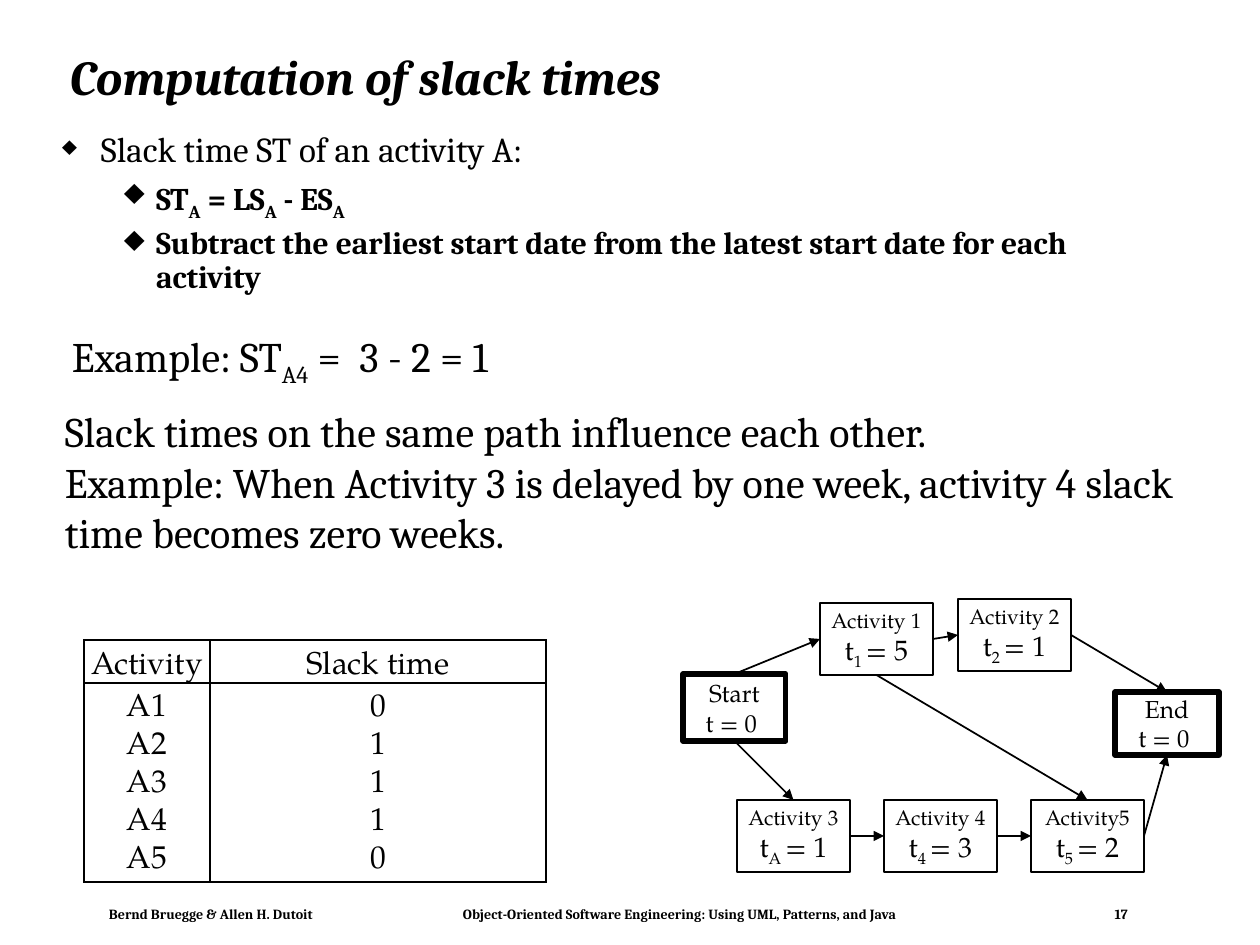
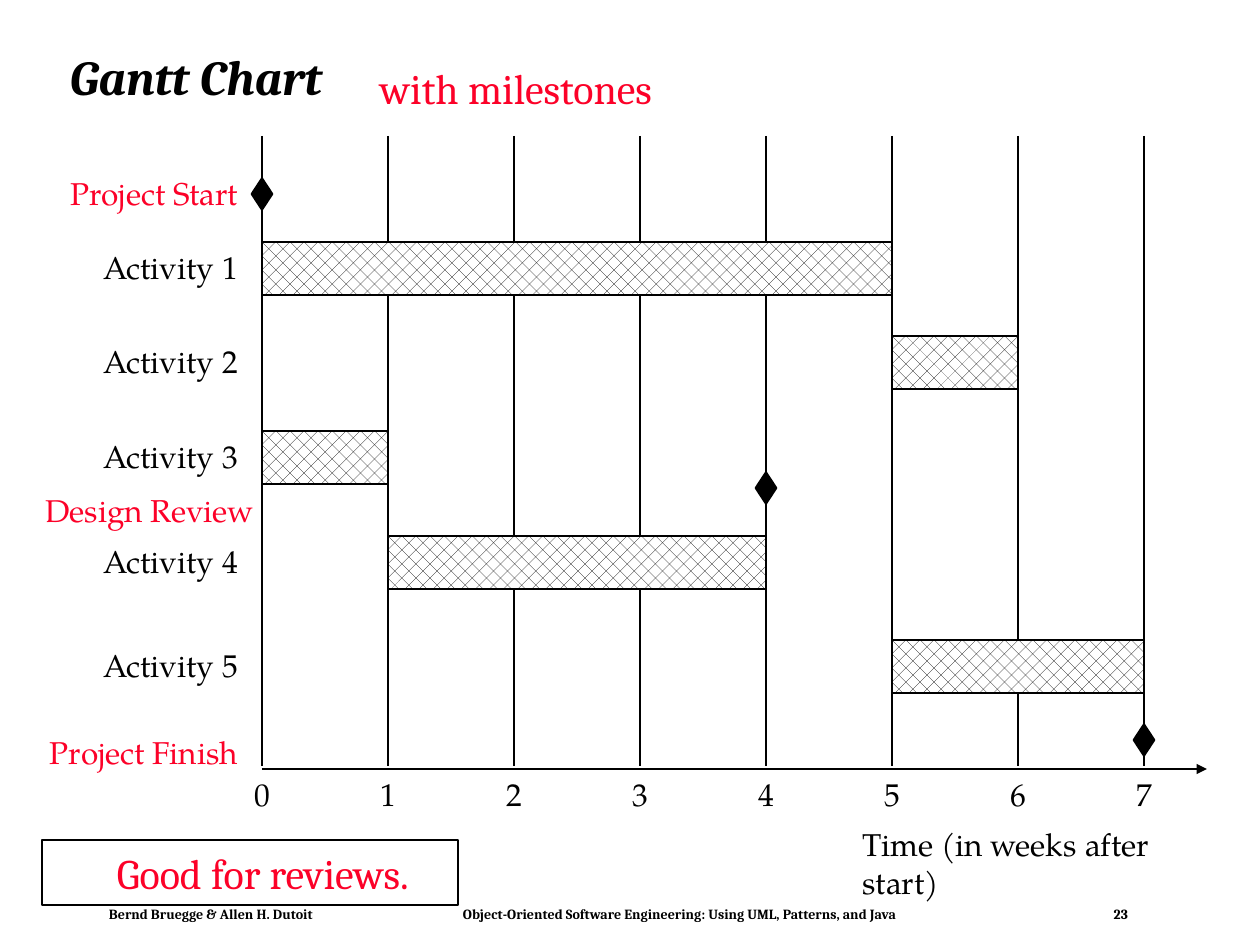
from lxml.etree import SubElement
from pptx import Presentation
from pptx.dml.color import RGBColor
from pptx.enum.dml import MSO_PATTERN
from pptx.enum.shapes import MSO_CONNECTOR, MSO_SHAPE
from pptx.enum.text import MSO_ANCHOR, MSO_AUTO_SIZE, PP_ALIGN
from pptx.oxml.ns import qn
from pptx.util import Emu, Pt

BLACK, WHITE, RED = "000000", "FFFFFF", "FC0128"
SERIF, PALATINO = "Cambria", "TeX Gyre Pagella"
LEFT, CENTER, RIGHT = PP_ALIGN.LEFT, PP_ALIGN.CENTER, PP_ALIGN.RIGHT
TOP, LEFT_SIDE, BOTTOM, RIGHT_SIDE = range(4)

AUTHORS = "Bernd Bruegge & Allen H. Dutoit"
BOOK = "Object-Oriented Software Engineering: Using UML, Patterns, and Java"

WEEK_ZERO, WEEK_WIDTH, WEEKS = 262, 126, 7
GRID_TOP, GRID_BOTTOM, AXIS_Y = 136, 766, 769
LINE_HEIGHT = 38


def px(length):
    return Emu(round(length * 914400 / 126))


def color(value):
    return RGBColor.from_string(value)


def format_font(font, size, name, ink, bold=False, italic=False):
    font.size, font.name = Pt(size), name
    font.bold, font.italic = bold, italic
    font.color.rgb = color(ink)


def write(para, text, size, name=SERIF, ink=BLACK, bold=False, italic=False, align=LEFT):
    """Fill a paragraph; text between two ~ marks is a subscript."""
    para.alignment = align
    for index, part in enumerate(text.split("~")):
        span = para.add_run()
        span.text = part
        format_font(span.font, size, name, ink, bold, italic)
        if index % 2:
            span.font._element.set("baseline", "-25000")


def write_lines(frame, lines, sizes, anchor=MSO_ANCHOR.TOP, wrap=True, inset=0, **style):
    """Write one paragraph per line; the last size serves all further lines."""
    frame.auto_size = MSO_AUTO_SIZE.NONE
    frame.word_wrap = wrap
    frame.vertical_anchor = anchor
    frame.margin_left = px(inset)
    frame.margin_right = frame.margin_top = frame.margin_bottom = 0
    for index, line in enumerate(lines):
        para = frame.add_paragraph() if index else frame.paragraphs[0]
        write(para, line, sizes[min(index, len(sizes) - 1)], **style)


def add_text(page, place, text, size, **style):
    box = page.shapes.add_textbox(*map(px, place))
    write_lines(box.text_frame, text.split("\n"), [size], **style)
    return box


def add_label(page, x, middle, text, width, align=CENTER, **style):
    """Set one unwrapped line, centred on a height; x is its aligned edge or centre."""
    left = {LEFT: x, CENTER: x - width / 2, RIGHT: x - width}[align]
    add_text(page, (left, middle - 25, width, 50), text, wrap=False,
             anchor=MSO_ANCHOR.MIDDLE, align=align, **style)


def add_box(page, place, kind=MSO_SHAPE.RECTANGLE, fill=WHITE, weight=1):
    box = page.shapes.add_shape(kind, *map(px, place))
    box.shadow.inherit = False
    if fill:
        box.fill.solid()
        box.fill.fore_color.rgb = color(fill)
    else:
        box.fill.background()
    box.line.color.rgb = color(BLACK)
    box.line.width = Pt(weight)
    return box


def add_line(page, x1, y1, x2, y2, arrow=False):
    line = page.shapes.add_connector(MSO_CONNECTOR.STRAIGHT, *map(px, (x1, y1, x2, y2)))
    line.line.color.rgb = color(BLACK)
    line.line.width = Pt(1)
    properties = line.element.spPr
    if arrow:
        SubElement(properties.find(qn("a:ln")), qn("a:tailEnd"), type="triangle")
    SubElement(properties, qn("a:effectLst"))
    return line


def add_arrow(page, source, source_side, target, target_side):
    arrow = add_line(page, 0, 0, 0, 0, arrow=True)
    arrow.begin_connect(source, source_side)
    arrow.end_connect(target, target_side)


def add_bullet(para, margin, hang, percent):
    para.line_spacing = 0.9
    properties = para._p.get_or_add_pPr()
    properties.set("marL", str(px(margin)))
    properties.set("indent", str(-px(hang)))
    bullet_color = SubElement(properties, qn("a:buClr"))
    SubElement(bullet_color, qn("a:srgbClr"), val=BLACK)
    SubElement(properties, qn("a:buSzPct"), val=str(percent * 1000))
    SubElement(properties, qn("a:buChar"), char="♦")


def add_page(deck, title, number):
    page = deck.slides.add_slide(deck.slide_layouts[5])
    heading = page.shapes.title
    heading.left, heading.top, heading.width, heading.height = map(px, (70, 31, 1098, 97))
    write_lines(heading.text_frame, [title], [28], anchor=MSO_ANCHOR.MIDDLE,
                bold=True, italic=True)
    heading.text_frame.paragraphs[0].line_spacing = 0.9
    for x, text, width, align in ((109, AUTHORS, 250, LEFT), (680, BOOK, 500, CENTER),
                                  (1128, number, 60, RIGHT)):
        add_label(page, x, 914, text, width, align, size=8, bold=True)
    return page


def add_definition(page):
    box = add_text(page, (62, 132, 1112, 160), "Slack time ST of an activity A:", 20)
    first = box.text_frame.paragraphs[0]
    first.space_before = Pt(6)
    add_bullet(first, 39, 39, 75)
    for text in ("ST~A~ = LS~A~ - ES~A~",
                 "Subtract the earliest start date from the latest start date for each activity"):
        para = box.text_frame.add_paragraph()
        write(para, text, 18, bold=True)
        para.space_before = Pt(5.4)
        add_bullet(para, 94, 32, 115)


def set_borders(cell, sides):
    """Draw the named sides (of L, R, T, B) in black and clear the others."""
    for side in "LRTB":
        border = SubElement(cell._tc.get_or_add_tcPr(), qn(f"a:ln{side}"), w=str(Pt(1)))
        if side in sides:
            SubElement(SubElement(border, qn("a:solidFill")), qn("a:srgbClr"), val=BLACK)
        else:
            SubElement(border, qn("a:noFill"))


def add_slack_table(page):
    rows = [("Activity", "Slack time"), ("A1", "0"), ("A2", "1"), ("A3", "1"),
            ("A4", "1"), ("A5", "0")]
    widths = (126, 336)
    heights = (43, 42, 38, 38, 38, 43)
    last = len(rows) - 1
    table = page.shapes.add_table(len(rows), 2, px(84), px(640),
                                  px(sum(widths)), px(sum(heights))).table
    table.first_row = table.horz_banding = False
    for column, width in zip(table.columns, widths):
        column.width = px(width)
    for index, (values, height) in enumerate(zip(rows, heights)):
        table.rows[index].height = px(height)
        for column, value in enumerate(values):
            cell = table.cell(index, column)
            cell.margin_left = cell.margin_right = cell.margin_top = 0
            cell.margin_bottom = px(5 if index == last else 0)
            cell.vertical_anchor = MSO_ANCHOR.BOTTOM
            set_borders(cell, "LR" + "T" * (index < 2) + "B" * (index in (0, last)))
            cell.fill.solid()
            cell.fill.fore_color.rgb = color(WHITE)
            write(cell.text_frame.paragraphs[0], value, 18, name=PALATINO, align=CENTER)


def add_node(page, place, name, duration, sizes=(12, 16), weight=1):
    node = add_box(page, place, weight=weight)
    write_lines(node.text_frame, [name, duration], sizes, anchor=MSO_ANCHOR.MIDDLE,
                wrap=False, name=PALATINO, align=CENTER)
    return node


def add_network(page):
    start = add_node(page, (683, 674, 103, 67), "Start", "t = 0 ", (14,), 3)
    end = add_node(page, (1115, 692, 104, 63), "End", "t = 0 ", (14,), 3)
    first, second, third, fourth, fifth = [
        add_node(page, (x, y, 113, 72), name, duration) for x, y, name, duration in (
            (820, 603, "Activity 1", "t~1 ~= 5"),
            (958, 599, "Activity 2", "t~2 ~= 1"),
            (737, 800, "Activity 3", "t~A ~= 1"),
            (884, 800, "Activity 4", "t~4 ~= 3"),
            (1031, 800, "Activity5", "t~5 ~= 2"))]
    for link in ((start, TOP, first, LEFT_SIDE), (start, BOTTOM, third, TOP),
                 (first, RIGHT_SIDE, second, LEFT_SIDE), (first, BOTTOM, fifth, TOP),
                 (second, RIGHT_SIDE, end, TOP), (third, RIGHT_SIDE, fourth, LEFT_SIDE),
                 (fourth, RIGHT_SIDE, fifth, LEFT_SIDE), (fifth, RIGHT_SIDE, end, BOTTOM)):
        add_arrow(page, *link)


def week_x(week):
    return WEEK_ZERO + week * WEEK_WIDTH


def add_time_grid(page):
    for week in range(WEEKS + 1):
        add_line(page, week_x(week), GRID_TOP, week_x(week), GRID_BOTTOM)
        add_label(page, week_x(week), 794, str(week), 42, size=18, name=PALATINO)
    add_line(page, WEEK_ZERO, AXIS_Y, week_x(7.5), AXIS_Y, arrow=True)
    add_text(page, (863, 825, 340, 2 * LINE_HEIGHT), "Time (in weeks after start)", 18,
             name=PALATINO)


def add_activity(page, name, top, start, end):
    bar = add_box(page, (week_x(start), top, week_x(end) - week_x(start), 53))
    bar.fill.patterned()
    bar.fill.pattern = MSO_PATTERN.PERCENT_25
    bar.fill.fore_color.rgb = color(BLACK)
    bar.fill.back_color.rgb = color(WHITE)
    add_label(page, 238, top + 25, name, 160, RIGHT, size=18, name=PALATINO)


def add_milestone(page, name, week, middle, label_right, label_middle):
    add_box(page, (week_x(week) - 10.5, middle - 16, 21, 32), MSO_SHAPE.DIAMOND, BLACK)
    add_label(page, label_right, label_middle, name, 215, RIGHT, size=18,
              name=PALATINO, ink=RED)


def build_slack_page(deck):
    page = add_page(deck, "Computation of slack times", "17")
    add_definition(page)
    add_text(page, (72, 331, 1112, 50), "Example: ST~A4~ =  3 - 2 = 1", 24)
    add_text(page, (65, 406, 1112, 198),
             "Slack times on the same path influence each other.\n"
             "Example: When Activity 3 is delayed by one week, "
             "activity 4 slack time becomes zero weeks.", 24)
    add_slack_table(page)
    add_network(page)


def build_gantt_page(deck):
    page = add_page(deck, "Gantt Chart", "23")
    add_text(page, (380, 29, 460, 118), "with milestones", 24, ink=RED,
             anchor=MSO_ANCHOR.MIDDLE)
    add_time_grid(page)
    for number, (top, start, end) in enumerate(
            ((242, 0, 5), (336, 5, 6), (431, 0, 1), (536, 1, 4), (640, 5, 7)), 1):
        add_activity(page, f"Activity {number}", top, start, end)
    add_milestone(page, "Project Start", 0, 194, 238, 193)
    add_milestone(page, "Design Review", 4, 488, 254, 510)
    add_milestone(page, "Project Finish", 7, 740, 238, 752)
    remark = add_box(page, (42, 840, 416, 65), fill=None)
    write_lines(remark.text_frame, ["Good for reviews."], [24], ink=RED, inset=75,
                anchor=MSO_ANCHOR.MIDDLE)


def main():
    deck = Presentation()
    deck.slide_width, deck.slide_height = px(1260), px(945)
    build_slack_page(deck)
    build_gantt_page(deck)
    deck.save("out.pptx")


if __name__ == "__main__":
    main()
